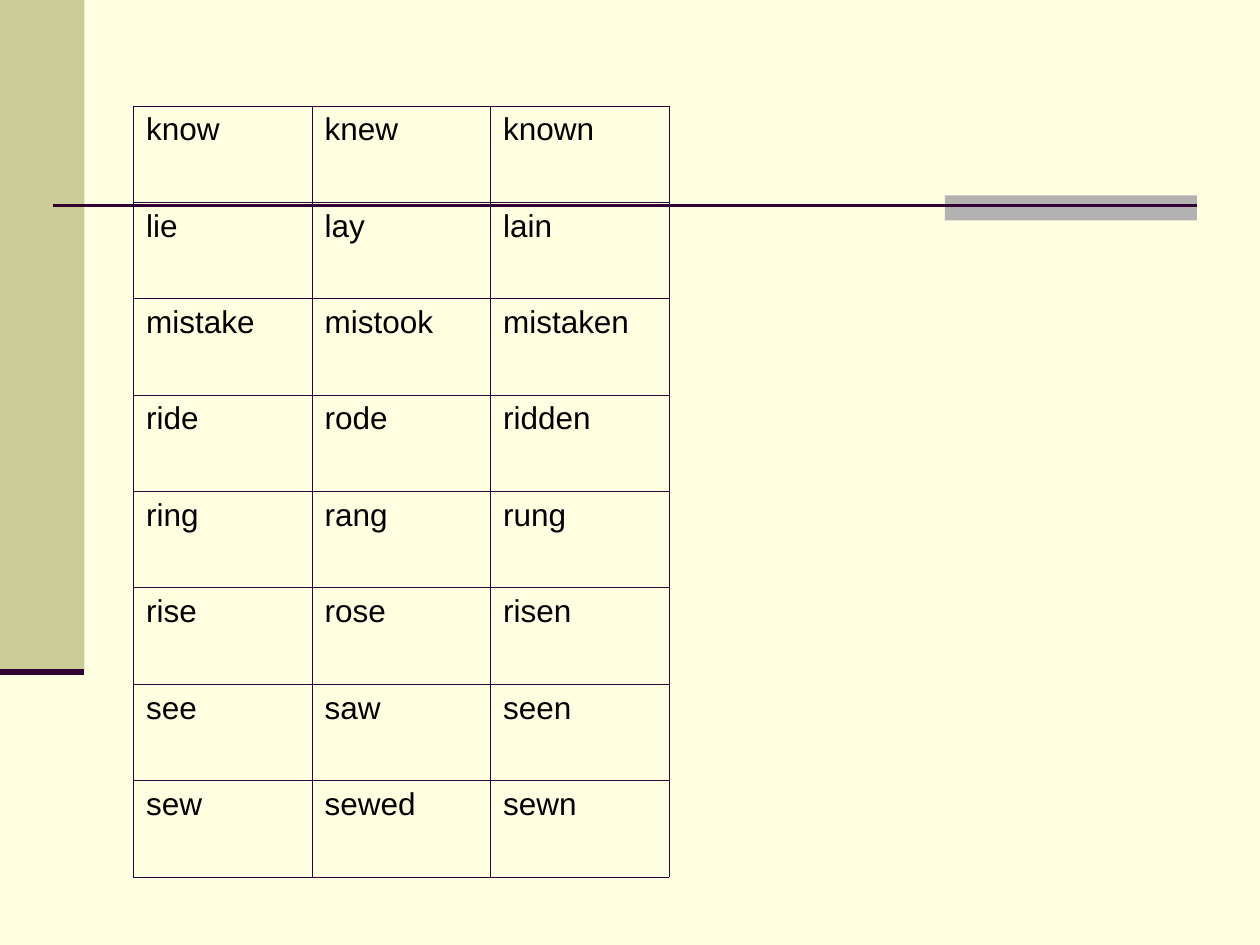
from lxml import etree
from pptx import Presentation
from pptx.dml.color import RGBColor
from pptx.enum.shapes import MSO_CONNECTOR, MSO_SHAPE
from pptx.oxml.ns import qn
from pptx.util import Inches, Pt

RECT = MSO_SHAPE.RECTANGLE
STRAIGHT = MSO_CONNECTOR.STRAIGHT

VERBS = [
    ("know", "knew", "known"),
    ("lie", "lay", "lain"),
    ("mistake", "mistook", "mistaken"),
    ("ride", "rode", "ridden"),
    ("ring", "rang", "rung"),
    ("rise", "rose", "risen"),
    ("see", "saw", "seen"),
    ("sew", "sewed", "sewn"),
]

THEME = {
    "background": "FFFFE1",
    "sidebar": "CCCC99",
    "accent": "B2B2B2",
    "rule": "330033",
    "text": "000000",
    "font": "Arial",
    "size": 18,
    "space_before": 4.5,
    "border": 0.45,
}

BARS = [
    ("sidebar", (0, 0, 0.67, 5.33)),
    ("accent", (7.5, 1.55, 2, 0.2)),
]
RULES = [
    ((0.42, 1.63, 9.5, 1.63), 1.5),
    ((0, 5.33, 0.67, 5.33), 3.5),
]
TABLE_BOX = (1.06, 0.84, 4.25, 6.12)


def color(name):
    return RGBColor.from_string(THEME[name])


def inches(values):
    return [Inches(v) for v in values]


def add_bar(s, name, box):
    bar = s.shapes.add_shape(RECT, *inches(box))
    bar.shadow.inherit = False
    bar.fill.solid()
    bar.fill.fore_color.rgb = color(name)
    bar.line.fill.background()


def add_rule(s, ends, width):
    rule = s.shapes.add_connector(STRAIGHT, *inches(ends))
    rule.line.color.rgb = color("rule")
    rule.line.width = Pt(width)
    etree.SubElement(rule._element.spPr, qn("a:effectLst"))


def set_borders(cell):
    tc_pr = cell._tc.get_or_add_tcPr()
    for i, side in enumerate(("a:lnL", "a:lnR", "a:lnT", "a:lnB")):
        ln = etree.Element(qn(side), w=str(Pt(THEME["border"])))
        fill = etree.SubElement(ln, qn("a:solidFill"))
        etree.SubElement(fill, qn("a:srgbClr"), val=THEME["rule"])
        tc_pr.insert(i, ln)


def fill_cell(cell, text):
    cell.fill.background()
    set_borders(cell)
    p = cell.text_frame.paragraphs[0]
    p.space_before = Pt(THEME["space_before"])
    r = p.add_run()
    r.text = text
    r.font.color.rgb = color("text")
    for key, value in {"name": THEME["font"], "size": Pt(THEME["size"])}.items():
        setattr(r.font, key, value)


def add_verb_table(s):
    rows, cols = len(VERBS), len(VERBS[0])
    left, top, width, height = inches(TABLE_BOX)
    table = s.shapes.add_table(rows, cols, left, top, width, height).table
    table.first_row = table.horz_banding = False
    for column in table.columns:
        column.width = width // cols
    for row, verb in zip(table.rows, VERBS):
        row.height = height // rows
        for cell, form in zip(row.cells, verb):
            fill_cell(cell, form)


def main():
    prs = Presentation()
    prs.slide_width, prs.slide_height = inches((10, 7.5))
    s = prs.slides.add_slide(prs.slide_layouts[6])
    s.background.fill.solid()
    s.background.fill.fore_color.rgb = color("background")
    for name, box in BARS:
        add_bar(s, name, box)
    for ends, width in RULES:
        add_rule(s, ends, width)
    add_verb_table(s)
    prs.save("out.pptx")


if __name__ == "__main__":
    main()
